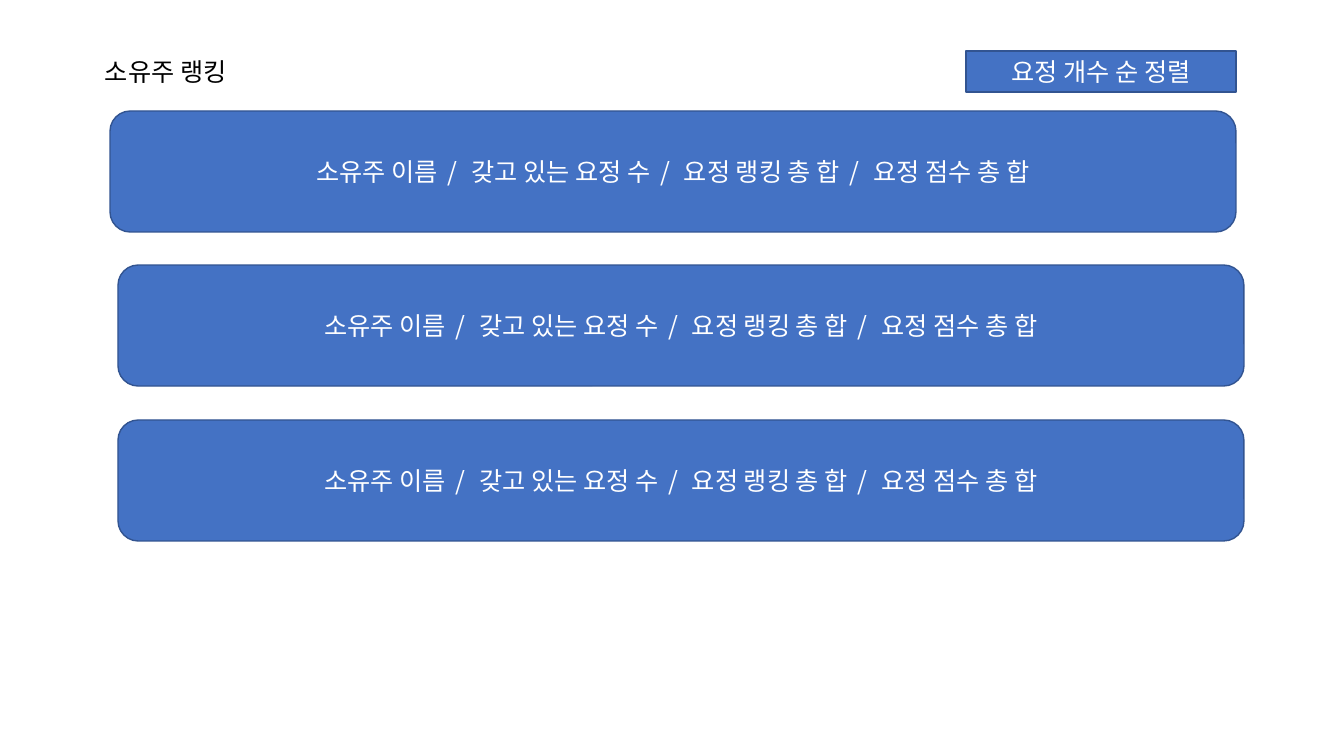
from pptx import Presentation
from pptx.dml.color import RGBColor
from pptx.enum.shapes import MSO_SHAPE
from pptx.enum.text import MSO_ANCHOR, MSO_AUTO_SIZE, PP_ALIGN
from pptx.util import Emu, Pt
from lxml.etree import SubElement

BLUE = RGBColor(0x44, 0x72, 0xC4)
NAVY = RGBColor(0x32, 0x54, 0x91)
WHITE = RGBColor(255, 255, 255)
BLACK = RGBColor(0, 0, 0)
FONT = "Noto Sans CJK KR"
NS = "{http://schemas.openxmlformats.org/drawingml/2006/main}"
SCALE = 914400 / 100.8  # EMU per pixel

FIELDS = ("소유주 이름", "갖고 있는 요정 수", "요정 랭킹 총 합", "요정 점수 총 합")
SLASH = " / "


def px(*vals):
    return [Emu(round(v * SCALE)) for v in vals]


def write(frame, parts, color=WHITE, align=PP_ALIGN.CENTER, size=18, wrap=True):
    """Fill a frame with one paragraph; slashes between fields are spaced out."""
    frame.word_wrap = wrap
    para = frame.paragraphs[0]
    para.alignment = align
    for part in parts:
        run = para.add_run()
        run.text = part
        run.font.size = Pt(size)
        run.font.name = FONT
        run.font.color.rgb = color
        props = run.font._element
        SubElement(props, NS + "ea").set("typeface", FONT)
        if part == SLASH:
            props.set("spc", "290")


def add_label(slide, box, text):
    frame = slide.shapes.add_textbox(*px(*box)).text_frame
    write(frame, [text], color=BLACK, align=PP_ALIGN.LEFT, wrap=False)
    frame.auto_size = MSO_AUTO_SIZE.SHAPE_TO_FIT_TEXT


def add_box(slide, kind, box, parts):
    shape = slide.shapes.add_shape(kind, *px(*box))
    shape.shadow.inherit = False
    shape.fill.solid()
    shape.fill.fore_color.rgb = BLUE
    shape.line.color.rgb = NAVY
    shape.line.width = Pt(1)
    shape.text_frame.vertical_anchor = MSO_ANCHOR.MIDDLE
    write(shape.text_frame, parts)


def main():
    deck = Presentation()
    deck.slide_width, deck.slide_height = px(1344, 756)
    slide = deck.slides.add_slide(deck.slide_layouts[6])

    # Heading
    add_label(slide, (95, 51, 156, 41), "소유주 랭킹")

    # Owner cards
    row = [FIELDS[0]]
    for field in FIELDS[1:]:
        row += [SLASH, field]
    for i, left in enumerate((110, 118, 118)):
        box = (left, 111 + round(154.5 * i), 1126, 121)
        add_box(slide, MSO_SHAPE.ROUNDED_RECTANGLE, box, row)

    # Sort button
    add_box(slide, MSO_SHAPE.RECTANGLE, (966, 51, 270, 41), ["요정 개수 순 정렬"])

    deck.save("out.pptx")


main()
